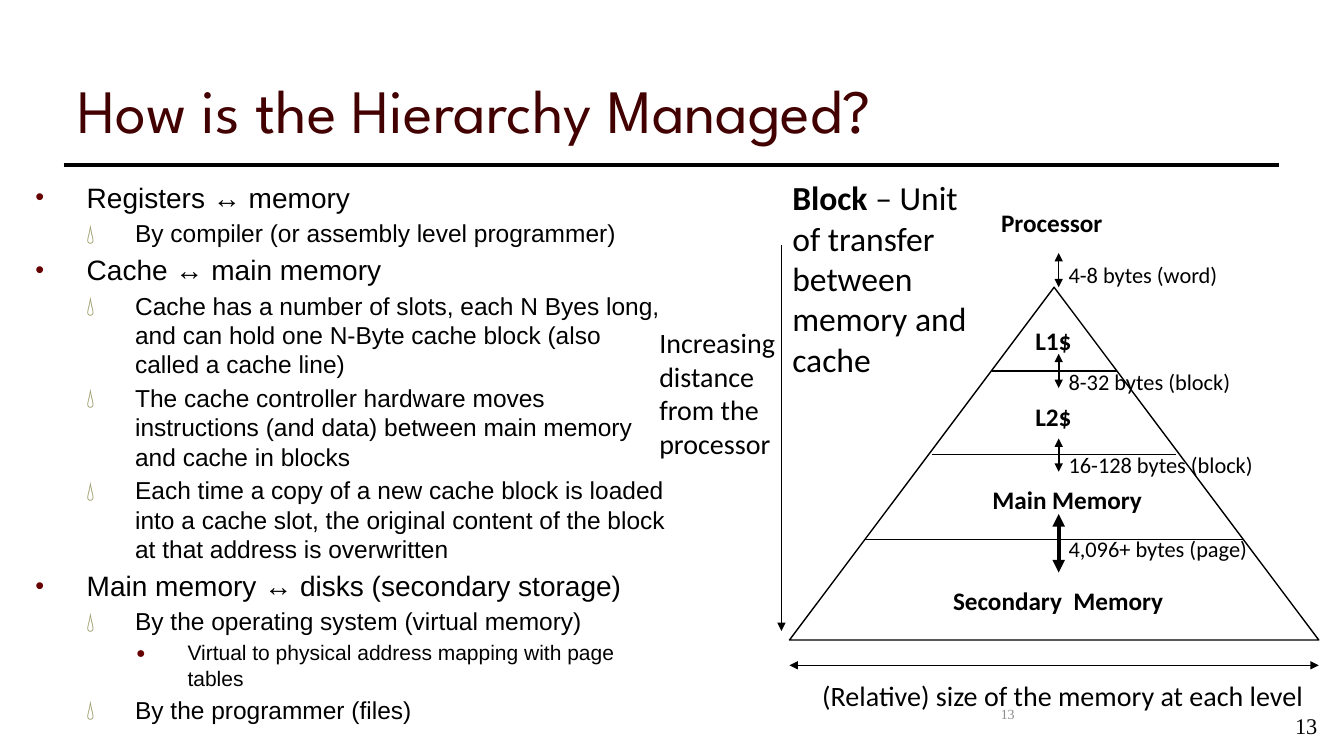
from lxml import etree
from pptx import Presentation
from pptx.dml.color import RGBColor
from pptx.enum.shapes import MSO_CONNECTOR, MSO_SHAPE
from pptx.enum.text import MSO_ANCHOR, MSO_AUTO_SIZE, PP_ALIGN
from pptx.oxml.ns import qn
from pptx.util import Inches, Pt

STRAIGHT = MSO_CONNECTOR.STRAIGHT
TRIANGLE = MSO_SHAPE.ISOSCELES_TRIANGLE
LEFT, CENTER = PP_ALIGN.LEFT, PP_ALIGN.CENTER
BOTTOM, TOP = MSO_ANCHOR.BOTTOM, MSO_ANCHOR.TOP
FIXED = MSO_AUTO_SIZE.NONE

COLORS = {
    "ink": "000000",
    "title": "420000",
    "bullet": "660000",
    "drop": "999966",
    "number": "8C8C8C",
}

LEVELS = [
    {"indent": 0.51, "hang": 0.51, "char": "•", "color": "bullet", "scale": 90, "size": 20, "before": 3.7},
    {"indent": 0.99, "hang": 0.48, "char": "💧", "color": "drop", "scale": 85, "size": 17.5, "before": 3},
    {"indent": 1.51, "hang": 0.51, "char": "●", "color": "bullet", "scale": 75, "size": 15, "before": 3},
]

MANAGEMENT = [
    (0, "Registers ↔ memory"),
    (1, "By compiler (or assembly level programmer)"),
    (0, "Cache ↔ main memory"),
    (1, "Cache has a number of slots, each N Byes long, and can hold one N-Byte "
        "cache block (also called a cache line)"),
    (1, "The cache controller hardware moves instructions (and data) between "
        "main memory and cache in blocks"),
    (1, "Each time a copy of a new cache block is loaded into a cache slot, the "
        "original content of the block at that address is overwritten"),
    (0, "Main memory ↔ disks (secondary storage)"),
    (1, "By the operating system (virtual memory)"),
    (2, "Virtual to physical address mapping with page tables"),
    (1, "By the programmer (files)"),
]


def rgb(name):
    return RGBColor.from_string(COLORS[name])


def place(shape, box):
    shape.left, shape.top, shape.width, shape.height = map(Inches, box)


def format_font(font, size, name, color="ink", bold=False):
    font.size, font.name, font.bold = Pt(size), name, bold
    font.color.rgb = rgb(color)


def add_text(slide, box, *parts, size=18, font="Calibri", color="ink",
             bold=False, align=LEFT, wrap=True):
    frame = slide.shapes.add_textbox(*map(Inches, box)).text_frame
    frame.word_wrap = wrap
    paragraph = frame.paragraphs[0]
    paragraph.alignment = align
    for index, part in enumerate(parts):
        run = paragraph.add_run()
        run.text = part
        format_font(run.font, size, font, color, bold and index == 0)


def add_line(slide, start, end, width=1, head=False, tail=False):
    line = slide.shapes.add_connector(STRAIGHT, *map(Inches, (*start, *end)))
    line.line.color.rgb = rgb("ink")
    line.line.width = Pt(width)
    outline = line.line._get_or_add_ln()
    for tag, wanted in (("a:headEnd", head), ("a:tailEnd", tail)):
        if wanted:
            etree.SubElement(outline, qn(tag), type="triangle")
    etree.SubElement(line._element.spPr, qn("a:effectLst"))


def add_bullet(paragraph, level):
    properties = paragraph._p.get_or_add_pPr()
    properties.set("marL", str(Inches(level["indent"])))
    properties.set("indent", str(-Inches(level["hang"])))
    bullet_color = etree.SubElement(properties, qn("a:buClr"))
    etree.SubElement(bullet_color, qn("a:srgbClr"), val=COLORS[level["color"]])
    etree.SubElement(properties, qn("a:buSzPct"), val=str(level["scale"] * 1000))
    etree.SubElement(properties, qn("a:buChar"), char=level["char"])


def build_heading(slide, box):
    title = slide.shapes.title
    place(title, box)
    frame = title.text_frame
    frame.text = "How is the Hierarchy Managed?"
    frame.vertical_anchor, frame.auto_size = BOTTOM, FIXED
    heading = frame.paragraphs[0]
    heading.alignment = LEFT
    format_font(heading.font, 44, "League Spartan", "title")
    left, top, width, height = box
    rule_y = top + height + 0.14
    add_line(slide, (left - 0.04, rule_y), (left + width + 0.02, rule_y), width=3)


def build_management(slide, box):
    body = slide.placeholders[1]
    place(body, box)
    frame = body.text_frame
    frame.vertical_anchor, frame.auto_size = TOP, FIXED
    for index, (depth, text) in enumerate(MANAGEMENT):
        paragraph = frame.add_paragraph() if index else frame.paragraphs[0]
        level = LEVELS[depth]
        paragraph.text, paragraph.level = text, depth
        paragraph.alignment = LEFT
        paragraph.line_spacing = 1.0
        paragraph.space_before = Pt(level["before"] if index else 0)
        add_bullet(paragraph, level)
        format_font(paragraph.font, level["size"], "Arial")


def build_pyramid(slide, box):
    left, top, width, height = box
    pyramid = slide.shapes.add_shape(TRIANGLE, *map(Inches, box))
    pyramid.shadow.inherit = False
    pyramid.fill.background()
    pyramid.line.color.rgb = rgb("ink")
    pyramid.line.width = Pt(1)

    middle = left + width / 2
    for offset, half in ((0.83, 0.62), (1.66, 1.21), (2.5, 1.88)):
        add_line(slide, (middle - half, top + offset), (middle + half, top + offset))

    for name, dx, dy, label_width, align in (
        ("Processor", 2, -0.84, 1.21, LEFT),
        ("L1$", 2.34, 0.33, 0.92, LEFT),
        ("L2$", 2.34, 1.08, 0.92, LEFT),
        ("Main Memory", 1.42, 1.91, 2.67, CENTER),
        ("Secondary  Memory", 1, 2.91, 3.33, CENTER),
    ):
        add_text(slide, (left + dx, top + dy, label_width, 0.4), name,
                 bold=True, align=align)

    transfer_x = left + 2.67
    for text, label_dy, start, end, weight in (
        ("4-8 bytes (word)", -0.31, -0.34, 0, 1),
        ("8-32 bytes (block)", 0.75, 0.66, 1, 1.5),
        ("16-128 bytes (block)", 1.58, 1.5, 1.83, 1.5),
        ("4,096+ bytes (page)", 2.41, 2.25, 2.83, 3),
    ):
        add_line(slide, (transfer_x, top + start), (transfer_x, top + end),
                 width=weight, head=True, tail=True)
        add_text(slide, (transfer_x, top + label_dy, 2.1, 0.37), text, size=16)

    size_y = top + height + 0.25
    add_line(slide, (left, size_y), (left + width, size_y), head=True, tail=True)
    add_text(slide, (left - 0.08, size_y + 0.08, 5.58, 0.44),
             "(Relative) size of the memory at each level", size=20, align=CENTER)


def build_distance(slide, box):
    left, top, width, height = box
    axis_x = left + width
    add_line(slide, (axis_x, top), (axis_x, top + height), tail=True)
    add_text(slide, (left, top + 0.75, 1.58, 1.45),
             "Increasing distance from the processor", size=20)


def build_block_note(slide, box):
    add_text(slide, box, "Block", " – Unit of transfer between memory and cache",
             size=24, bold=True)


def build_page_numbers(slide, box):
    left, top, width, height = box
    add_text(slide, (left, top, 2.33, 0.4), "13", size=10,
             font="Times New Roman", color="number", align=CENTER)
    add_text(slide, (left + width - 0.57, top + 0.07, 0.57, height - 0.07), "13",
             size=16, font="Times New Roman", align=CENTER)


def main():
    deck = Presentation()
    deck.slide_width, deck.slide_height = Inches(13.33), Inches(7.5)
    slide = deck.slides.add_slide(deck.slide_layouts[1])
    build_heading(slide, (0.67, 0.25, 12, 1.25))
    build_management(slide, (0.25, 1.74, 6.48, 5.61))
    build_pyramid(slide, (7.83, 2.85, 5.25, 3.5))
    build_distance(slide, (6.44, 2.43, 1.31, 3.83))
    build_block_note(slide, (7.76, 1.71, 1.95, 2.12))
    build_page_numbers(slide, (8.83, 6.95, 4.41, 0.45))
    deck.save("out.pptx")


if __name__ == "__main__":
    main()
